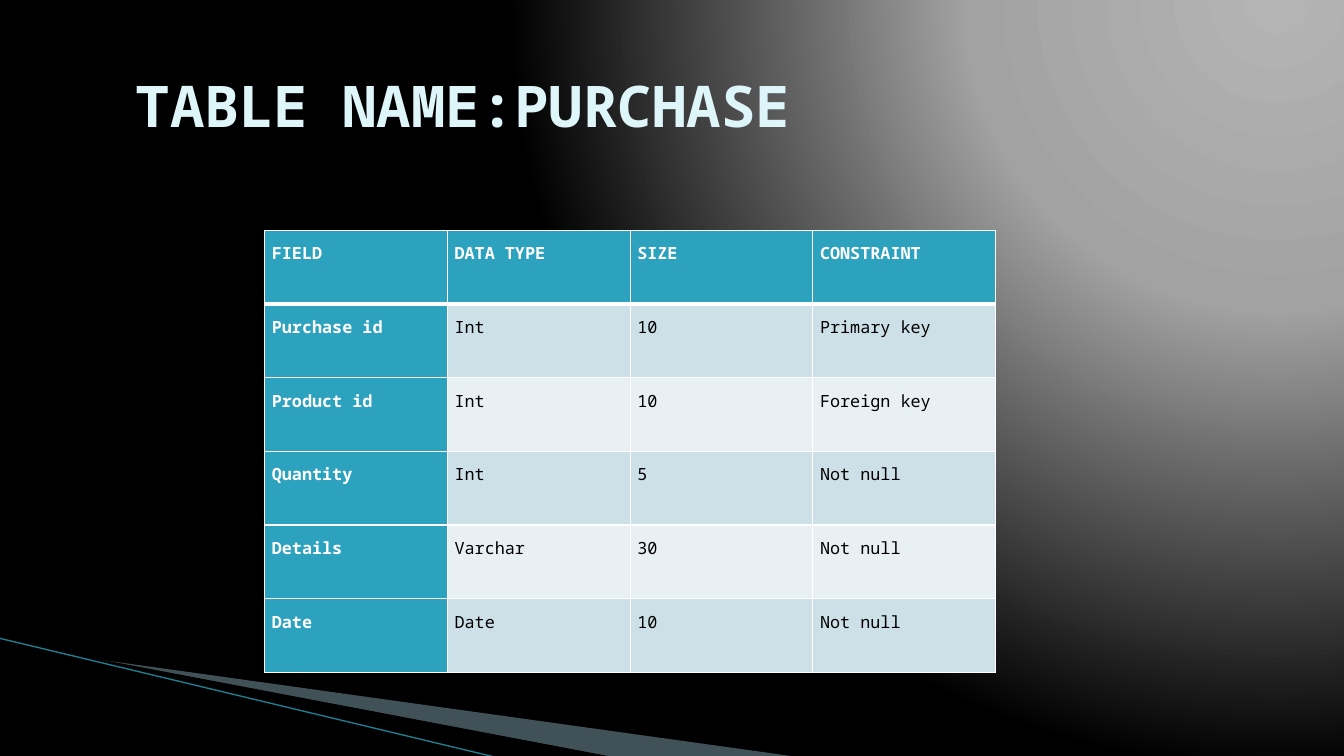
from lxml import etree
from pptx import Presentation
from pptx.dml.color import RGBColor
from pptx.enum.shapes import MSO_CONNECTOR
from pptx.enum.text import MSO_ANCHOR, MSO_AUTO_SIZE, PP_ALIGN
from pptx.oxml import parse_xml
from pptx.oxml.ns import nsdecls, qn
from pptx.util import Cm, Pt

STRAIGHT = MSO_CONNECTOR.STRAIGHT
MIDDLE, TOP = MSO_ANCHOR.MIDDLE, MSO_ANCHOR.TOP
NO_FIT = MSO_AUTO_SIZE.NONE
LEFT = PP_ALIGN.LEFT

ROWS = [
    ("FIELD", "DATA TYPE", "SIZE", "CONSTRAINT"),
    ("Purchase id", "Int", "10", "Primary key"),
    ("Product id", "Int", "10", "Foreign key"),
    ("Quantity", "Int", "5", "Not null"),
    ("Details", "Varchar", "30", "Not null"),
    ("Date", "Date", "10", "Not null"),
]


def rgb(value):
    return RGBColor.from_string(value)


class Deck:
    """Holds the style and the current slide."""

    font = "Noto Sans Mono"
    white, black = "FFFFFF", "000000"
    title_color, accent, wedge_color = "DEF5FA", "2DA2BF", "A0CBDC"
    line_color = "1E7F92"
    bands = ("CDE0E8", "E8F0F4")

    def __init__(self, prs):
        self.slide = prs.slides.add_slide(prs.slide_layouts[5])

    def background(self, stops):
        """Fill the background with a circular gradient centred at the top right."""
        fill = self.slide.background.fill
        fill.gradient()
        bg_pr = self.slide.element.find(".//" + qn("p:bgPr"))
        old = bg_pr.find(qn("a:gradFill"))
        gs = "".join(f'<a:gs pos="{pos * 1000}"><a:srgbClr val="{color}"/></a:gs>'
                     for pos, color in stops)
        bg_pr.replace(old, parse_xml(
            f'<a:gradFill {nsdecls("a")} rotWithShape="1"><a:gsLst>{gs}</a:gsLst>'
            '<a:path path="circle"><a:fillToRect l="95000" t="-106000" r="5000" b="206000"/>'
            '</a:path></a:gradFill>'))

    def style(self, p, size, color, bold):
        for r in p.runs:
            r.font.name = self.font
            r.font.size = Pt(size)
            r.font.bold = bold
            r.font.color.rgb = rgb(color)

    def title(self, text, x, y, w, h):
        sp = self.slide.shapes.title
        sp.left, sp.top, sp.width, sp.height = Cm(x), Cm(y), Cm(w), Cm(h)
        tf = sp.text_frame
        tf.text = text
        tf.auto_size = NO_FIT
        tf.vertical_anchor = MIDDLE
        tf.paragraphs[0].alignment = LEFT
        self.style(tf.paragraphs[0], 41, self.title_color, True)

    def wedge(self, points, frame, color, opacity=100):
        """Draw a filled outline whose points may reach beyond its frame."""
        start, *rest = [(Cm(x), Cm(y)) for x, y in points]
        builder = self.slide.shapes.build_freeform(*start)
        builder.add_line_segments(rest, close=True)
        sp = builder.convert_to_shape()
        sp.shadow.inherit = False
        sp.fill.solid()
        sp.fill.fore_color.rgb = rgb(color)
        sp.line.fill.background()
        if opacity < 100:
            clr = sp.element.spPr.find(".//" + qn("a:srgbClr"))
            etree.SubElement(clr, qn("a:alpha"), val=str(opacity * 1000))
        left, top, width, height = map(Cm, frame)
        dx, dy = sp.left - left, sp.top - top
        for pt in sp.element.spPr.iter(qn("a:pt")):
            pt.set("x", str(int(pt.get("x")) + dx))
            pt.set("y", str(int(pt.get("y")) + dy))
        outline = sp.element.spPr.find(".//" + qn("a:path"))
        outline.set("w", str(width))
        outline.set("h", str(height))
        sp.left, sp.top, sp.width, sp.height = left, top, width, height

    def line(self, x1, y1, x2, y2, color, width):
        cxn = self.slide.shapes.add_connector(STRAIGHT, Cm(x1), Cm(y1), Cm(x2), Cm(y2))
        cxn.line.color.rgb = rgb(color)
        cxn.line.width = Pt(width)
        etree.SubElement(cxn.element.spPr, qn("a:effectLst"))

    def borders(self, cell, **widths):
        """Draw white borders; they must precede the cell's fill."""
        tc_pr = cell._tc.get_or_add_tcPr()
        for i, side in enumerate("LRTB"):
            tc_pr.insert(i, parse_xml(
                f'<a:ln{side} {nsdecls("a")} w="{Pt(widths.get(side, 1))}"><a:solidFill>'
                f'<a:srgbClr val="{self.white}"/></a:solidFill></a:ln{side}>'))

    def table(self, rows, x, y, w, h):
        frame = self.slide.shapes.add_table(len(rows), len(rows[0]), Cm(x), Cm(y), Cm(w), Cm(h))
        table = frame.table
        table.first_col = True
        table.horz_banding = False
        for i, row in enumerate(rows):
            for j, text in enumerate(row):
                cell = table.cell(i, j)
                head = i == 0 or j == 0
                cell.margin_left = cell.margin_right = Cm(0.18)
                cell.margin_top = cell.margin_bottom = 0
                cell.vertical_anchor = TOP
                cell.fill.solid()
                cell.fill.fore_color.rgb = rgb(self.accent if head else self.bands[(i - 1) % 2])
                self.borders(cell, T=3 if i == 1 else 1, B=3 if i == 0 else 1)
                p = cell.text_frame.paragraphs[0]
                p.text = text
                p.line_spacing = 1.5
                self.style(p, 12, self.white if head else self.black, head)


def main():
    prs = Presentation()
    prs.slide_width, prs.slide_height = Cm(33.87), Cm(19.05)
    deck = Deck(prs)
    deck.background([(0, "B4B4B4"), (40, "A2A2A2"), (100, "000000")])
    deck.wedge([(1.85, 16.53), (20.14, 19.08), (15.44, 19.08), (1.85, 16.5)],
               (2.64, 13.89, 14.07, 4.01), deck.wedge_color, opacity=40)
    deck.wedge([(1.8, 16.48), (15.47, 19.08), (12.6, 19.1), (1.83, 16.51)],
               (-0.2, 16.08, 14.07, 2.34), deck.black)
    deck.line(-0.03, 16.08, 12.57, 19.1, deck.line_color, 0.95)
    deck.title("TABLE NAME:PURCHASE", 3.17, 1.22, 27.51, 2.84)
    deck.table(ROWS, 6.67, 5.81, 18.42, 11.13)
    prs.save("out.pptx")


if __name__ == "__main__":
    main()
